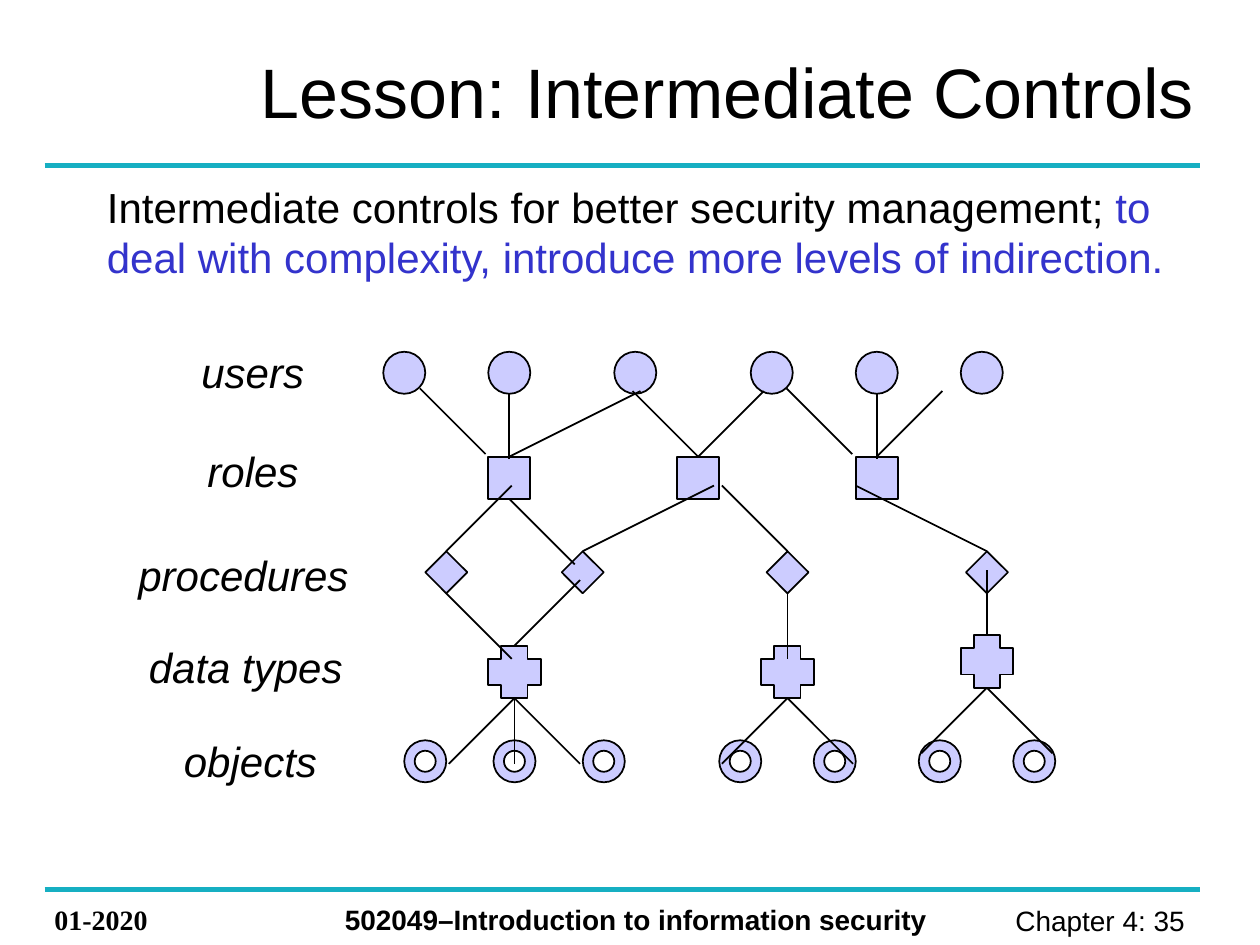
from dataclasses import dataclass

import lxml.etree
import pptx
import pptx.dml.color
import pptx.enum.shapes
import pptx.enum.text
import pptx.oxml.ns
import pptx.slide
import pptx.util

Pt = pptx.util.Pt
RGBColor = pptx.dml.color.RGBColor
SHAPE = pptx.enum.shapes.MSO_SHAPE
ALIGN = pptx.enum.text.PP_ALIGN
ANCHOR = pptx.enum.text.MSO_ANCHOR

BLACK = RGBColor(0x00, 0x00, 0x00)
TEAL = RGBColor(0x16, 0xAF, 0xC2)
BLUE = RGBColor(0x33, 0x33, 0xCC)
LAVENDER = RGBColor(0xCC, 0xCC, 0xFF)

LINK_STEP = 37.5


@dataclass(frozen=True)
class Label:
    text: str
    left: float
    top: float
    width: float
    height: float
    size: float
    font: str = "Arial"
    bold: bool = False
    italic: bool = False
    align: ALIGN = ALIGN.LEFT
    anchor: ANCHOR = ANCHOR.TOP
    wrap: bool = True
    highlight: str = ""


@dataclass(frozen=True)
class NodeRow:
    kind: SHAPE
    top: float
    size: float
    lefts: tuple[float, ...]


@dataclass(frozen=True)
class Link:
    x: float
    y: float
    across: int
    down: int


def level_label(text: str, left: float, top: float, width: float) -> Label:
    return Label(text, left, top, width, 36, 24, italic=True, wrap=False)


LABELS = (
    Label("Chapter 4: 35 ", 530, 512.5, 158.5, 26.5, 16, align=ALIGN.RIGHT),
    Label("01-2020", 24, 512, 96, 26.5, 16, font="Times New Roman", bold=True),
    Label("502049–Introduction to information security", 190, 512, 363, 26.5, 16, bold=True),
    Label("Lesson: Intermediate Controls", 142, 20, 578, 63, 40, anchor=ANCHOR.MIDDLE),
    level_label("users", 108, 194.5, 73.5),
    level_label("roles", 111.5, 251, 67),
    level_label("procedures", 72, 310.5, 134.5),
    level_label("data types", 78, 363, 125),
    level_label("objects", 98, 417, 90.5),
    Label(
        "Intermediate controls for better security management; ",
        54, 100, 624, 65, 24,
        highlight="to deal with complexity, introduce more levels of indirection.",
    ),
)

NODE_ROWS = (
    NodeRow(SHAPE.OVAL, 201, 24, (219, 279, 351, 429, 489, 549)),
    NodeRow(SHAPE.RECTANGLE, 261, 24, (279, 387, 489)),
    NodeRow(SHAPE.DIAMOND, 315, 24, (243, 321, 438, 552)),
    NodeRow(SHAPE.CROSS, 369, 30, (279, 435)),
    NodeRow(SHAPE.CROSS, 363, 30, (549,)),
    NodeRow(SHAPE.DONUT, 423, 24, (231, 282, 333, 411, 465, 525, 579)),
)

USER_LINKS = (
    Link(240, 222, 1, 1),
    Link(291, 225, 0, 1),
    Link(291, 261, 2, -1),
    Link(399, 261, -1, -1),
    Link(399, 261, 1, -1),
    Link(449.5, 222, 1, 1),
    Link(501, 225, 0, 1),
    Link(501, 261, 1, -1),
)
ROLE_LINKS = (
    Link(255, 315, 1, -1),
    Link(291, 285, 1, 1),
    Link(333, 315, 2, -1),
    Link(450, 315, -1, -1),
    Link(564, 315, -2, -1),
)
PROCEDURE_LINKS = (
    Link(255, 339, 1, 1),
    Link(294, 369, 1, -1),
    Link(564, 363, 0, -1),
    Link(450, 339, 0, 1),
)
OBJECT_LINKS = tuple(
    Link(x, y, across, 1)
    for x, y, directions in ((294, 399, (-1, 0, 1)), (450, 399, (-1, 1)), (564, 393, (-1, 1)))
    for across in directions
)


def draw_line(
    slide: pptx.slide.Slide,
    start: tuple[float, float],
    end: tuple[float, float],
    color: RGBColor,
    width: float,
) -> None:
    connector = slide.shapes.add_connector(
        pptx.enum.shapes.MSO_CONNECTOR.STRAIGHT,
        Pt(start[0]), Pt(start[1]), Pt(end[0]), Pt(end[1]),
    )
    connector.line.color.rgb = color
    connector.line.width = Pt(width)
    properties = connector.element.spPr
    lxml.etree.SubElement(properties, pptx.oxml.ns.qn("a:effectLst"))


def draw_link(slide: pptx.slide.Slide, link: Link) -> None:
    end = (link.x + link.across * LINK_STEP, link.y + link.down * LINK_STEP)
    draw_line(slide, (link.x, link.y), end, BLACK, 1)


def draw_nodes(slide: pptx.slide.Slide, row: NodeRow) -> None:
    for left in row.lefts:
        shape = slide.shapes.add_shape(row.kind, Pt(left), Pt(row.top), Pt(row.size), Pt(row.size))
        shape.shadow.inherit = False
        shape.fill.solid()
        shape.fill.fore_color.rgb = LAVENDER
        shape.line.color.rgb = BLACK
        shape.line.width = Pt(1)
        if row.kind in (SHAPE.CROSS, SHAPE.DONUT):
            shape.adjustments[0] = 0.25


def draw_label(slide: pptx.slide.Slide, label: Label) -> None:
    box = slide.shapes.add_textbox(
        Pt(label.left), Pt(label.top), Pt(label.width), Pt(label.height)
    )
    frame = box.text_frame
    frame.word_wrap = label.wrap
    frame.vertical_anchor = label.anchor
    paragraph = frame.paragraphs[0]
    paragraph.alignment = label.align
    paragraph.font.name = label.font
    paragraph.font.size = Pt(label.size)
    paragraph.font.bold = label.bold
    paragraph.font.italic = label.italic
    paragraph.font.color.rgb = BLACK
    paragraph.add_run().text = label.text
    if label.highlight:
        run = paragraph.add_run()
        run.text = label.highlight
        run.font.color.rgb = BLUE


def main() -> None:
    presentation = pptx.Presentation()
    presentation.slide_width = Pt(720)
    presentation.slide_height = Pt(540)
    slide = presentation.slides.add_slide(presentation.slide_layouts[6])
    for y in (94.5, 508.5):
        draw_line(slide, (25.5, y), (685.5, y), TEAL, 3)
    for row in NODE_ROWS:
        draw_nodes(slide, row)
    for link in USER_LINKS + ROLE_LINKS + PROCEDURE_LINKS + OBJECT_LINKS:
        draw_link(slide, link)
    for label in LABELS:
        draw_label(slide, label)
    presentation.save("out.pptx")


if __name__ == "__main__":
    main()
